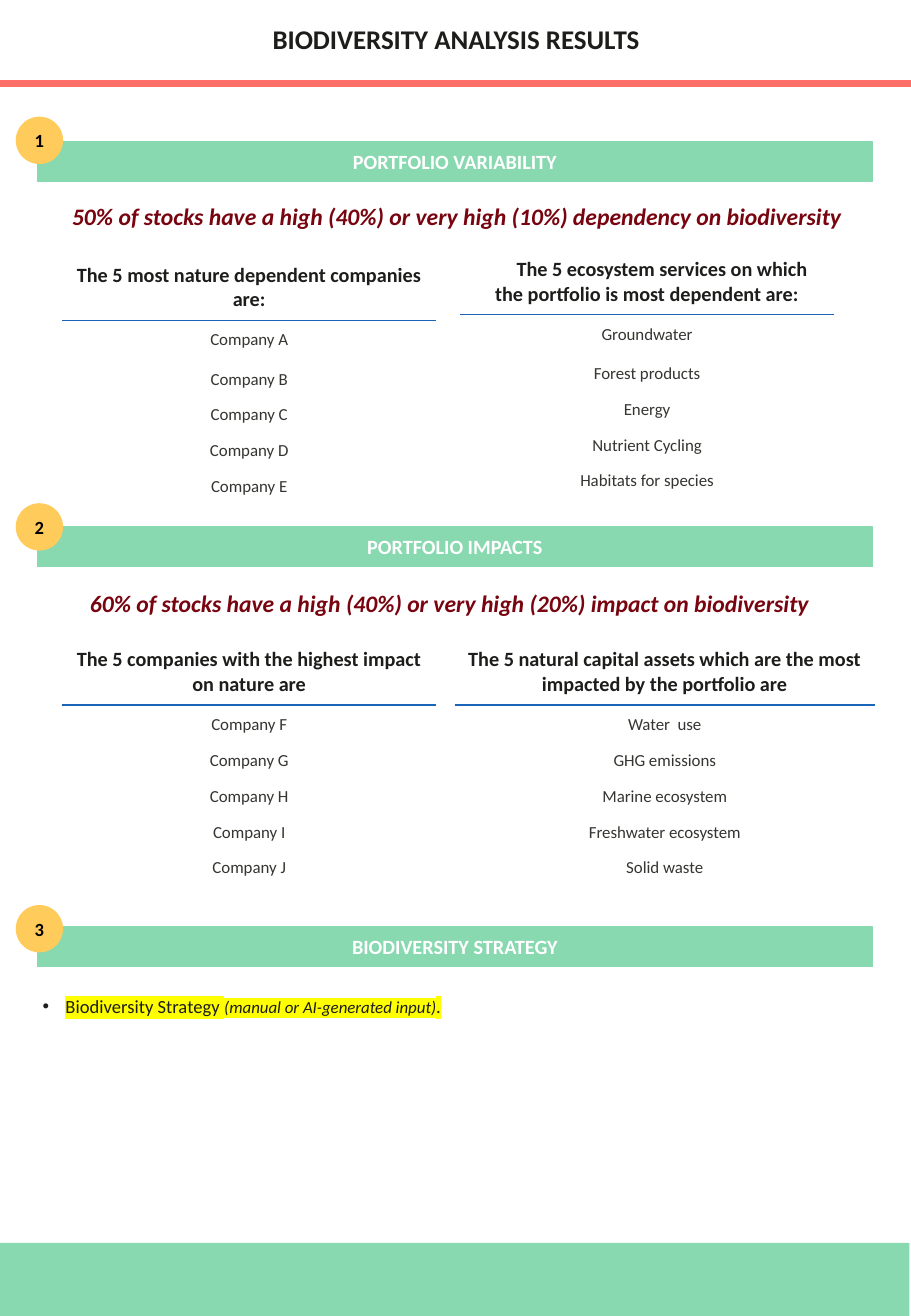
"""Build a one-page report of biodiversity analysis results."""
import pptx
import pptx.dml.color
import pptx.enum.shapes
import pptx.enum.text
import pptx.oxml
import pptx.oxml.ns
import pptx.util
from lxml import etree

Cm = pptx.util.Cm
Pt = pptx.util.Pt
RGBColor = pptx.dml.color.RGBColor
MIDDLE = pptx.enum.text.MSO_ANCHOR.MIDDLE
BOTTOM = pptx.enum.text.MSO_ANCHOR.BOTTOM
CENTER = pptx.enum.text.PP_ALIGN.CENTER
RECTANGLE = pptx.enum.shapes.MSO_SHAPE.RECTANGLE
OVAL = pptx.enum.shapes.MSO_SHAPE.OVAL
qn = pptx.oxml.ns.qn

COLORS = {
    "ink": "1D1D1B", "grey": "353531", "white": "FFFFFF", "black": "000000",
    "green": "88D8B0", "coral": "FF6F69", "amber": "FFCC5C",
    "wine": "78040F", "blue": "1A64B9", "yellow": "FFFF00",
}
FORMATS = {
    "title": ("ink", {"size": Pt(16), "bold": True}),
    "banner": ("white", {"size": Pt(12), "bold": True}),
    "statement": ("wine", {"size": Pt(14), "bold": True, "italic": True}),
    "heading": ("ink", {"size": Pt(12), "bold": True}),
    "entry": ("grey", {"size": Pt(10), "bold": False}),
    "badge": ("black", {"size": Pt(11), "bold": True}),
    "strategy": ("ink", {"size": Pt(11)}),
    "hint": ("ink", {"size": Pt(10), "italic": True}),
}


def write(paragraph, text, style):
    color, values = FORMATS[style]
    run = paragraph.add_run()
    run.text = text
    run.font.name = "Calibri"
    run.font.color.rgb = RGBColor.from_string(COLORS[color])
    for name, value in values.items():
        setattr(run.font, name, value)
    return run


def add_box(kind, left, top, width, height, fill, text="", style="banner"):
    shape = slide.shapes.add_shape(kind, Cm(left), Cm(top), Cm(width), Cm(height))
    shape.shadow.inherit = False
    shape.fill.solid()
    shape.fill.fore_color.rgb = RGBColor.from_string(COLORS[fill])
    shape.line.fill.background()
    frame = shape.text_frame
    frame.vertical_anchor = MIDDLE
    frame.margin_left = frame.margin_right = 0
    frame.paragraphs[0].alignment = CENTER
    if text:
        write(frame.paragraphs[0], text, style)
    return shape


presentation = pptx.Presentation()
presentation.slide_width = Cm(19.05)
presentation.slide_height = Cm(27.51)
slide = presentation.slides.add_slide(presentation.slide_layouts[6])

rule = slide.shapes.add_connector(
    pptx.enum.shapes.MSO_CONNECTOR.STRAIGHT, 0, Cm(1.75), Cm(19.05), Cm(1.75))
rule.line.color.rgb = RGBColor.from_string(COLORS["coral"])
rule.line.width = Pt(4)
etree.SubElement(rule.element.spPr, qn("a:effectLst"))

add_box(RECTANGLE, 0, 25.98, 19.02, 1.53, "green")

title = slide.shapes.add_textbox(0, Cm(0.46), Cm(19.08), Cm(0.69)).text_frame
title.word_wrap = True
title.vertical_anchor = MIDDLE
title.paragraphs[0].alignment = CENTER
write(title.paragraphs[0], "BIODIVERSITY ANALYSIS RESULTS", "title")

TABLES = [
    (9.63, 5.21, 7.8, 0.82, 0.63, [
        "The 5 ecosystem services on which the portfolio is most dependent are:",
        "Groundwater", "Forest products", "Energy", "Nutrient Cycling",
        "Habitats for species"]),
    (1.31, 5.33, 7.8, 0.82, 0, [
        "The 5 most nature dependent companies are:",
        "Company A", "Company B", "Company C", "Company D", "Company E"]),
    (1.31, 13.37, 7.8, 0.75, 0, [
        "The 5 companies with the highest impact on nature are",
        "Company F", "Company G", "Company H", "Company I", "Company J"]),
    (9.52, 13.37, 8.76, 0.75, 0, [
        "The 5 natural capital assets which are the most impacted by the portfolio are",
        "Water  use", "GHG emissions", "Marine ecosystem",
        "Freshwater ecosystem", "Solid waste"]),
]
for left, top, width, second_entry_height, indent, texts in TABLES:
    heights = [1.37, 0.75, second_entry_height, 0.75, 0.75, 0.75]
    table = slide.shapes.add_table(
        len(texts), 1, Cm(left), Cm(top), Cm(width), Cm(sum(heights))).table
    table.first_row = False
    table.horz_banding = False
    for index, (text, height) in enumerate(zip(texts, heights)):
        table.rows[index].height = Cm(height)
        cell = table.cell(index, 0)
        cell.vertical_anchor = BOTTOM if index else MIDDLE
        paragraph = cell.text_frame.paragraphs[0]
        paragraph.alignment = CENTER
        write(paragraph, text, "entry" if index else "heading")
        if indent and index == 0:
            paragraph._p.get_or_add_pPr().set("indent", str(Cm(indent)))
        properties = cell._tc.get_or_add_tcPr()
        for side in ("lnL", "lnR", "lnT", "lnB"):
            under_heading = (index, side) in ((0, "lnB"), (1, "lnT"))
            border = etree.SubElement(properties, qn(f"a:{side}"), w=str(Pt(0.96)))
            fill = etree.SubElement(border, qn("a:solidFill"))
            etree.SubElement(fill, qn("a:srgbClr"),
                             val=COLORS["blue" if under_heading else "white"])
        cell.fill.background()

STATEMENTS = [
    (0.33, 4.09, 18.47,
     "50% of stocks have a high (40%) or very high (10%) dependency on biodiversity"),
    (0.61, 12.19, 17.6,
     "60% of stocks have a high (40%) or very high (20%) impact on biodiversity"),
]
for left, top, width, text in STATEMENTS:
    add_box(RECTANGLE, left, top, width, 0.84, "white", text, "statement")

SECTIONS = [
    ("PORTFOLIO VARIABILITY", 2.97, 2.44),
    ("PORTFOLIO IMPACTS", 11.02, 10.52),
    ("BIODIVERSITY STRATEGY", 19.38, 18.92),
]
for number, (text, banner_top, badge_top) in enumerate(SECTIONS, start=1):
    banner = add_box(RECTANGLE, 0.79, banner_top, 17.45, 0.82, "green", text)
    banner.line.color.rgb = RGBColor.from_string(COLORS["green"])
    banner.line.width = Pt(0.75)
    add_box(OVAL, 0.33, badge_top, 0.99, 0.99, "amber", str(number), "badge")

strategy = slide.shapes.add_textbox(Cm(0.64), Cm(20.68), Cm(17.6), Cm(0.71)).text_frame
strategy.word_wrap = True
strategy.vertical_anchor = MIDDLE
paragraph = strategy.paragraphs[0]
paragraph.alignment = pptx.enum.text.PP_ALIGN.JUSTIFY
properties = paragraph._p.get_or_add_pPr()
properties.set("marL", str(Cm(0.48)))
properties.set("indent", str(Cm(-0.48)))
bullet_color = etree.SubElement(properties, qn("a:buClr"))
etree.SubElement(bullet_color, qn("a:srgbClr"), val=COLORS["ink"])
etree.SubElement(properties, qn("a:buFont"), typeface="Arial")
etree.SubElement(properties, qn("a:buChar"), char="•")
for text, style in (("Biodiversity Strategy ", "strategy"),
                    ("(manual or AI-generated input)", "hint"),
                    (".", "strategy")):
    run = write(paragraph, text, style)
    highlight = etree.Element(qn("a:highlight"))
    etree.SubElement(highlight, qn("a:srgbClr"), val=COLORS["yellow"])
    run._r.get_or_add_rPr().find(qn("a:solidFill")).addnext(highlight)

presentation.save("out.pptx")
